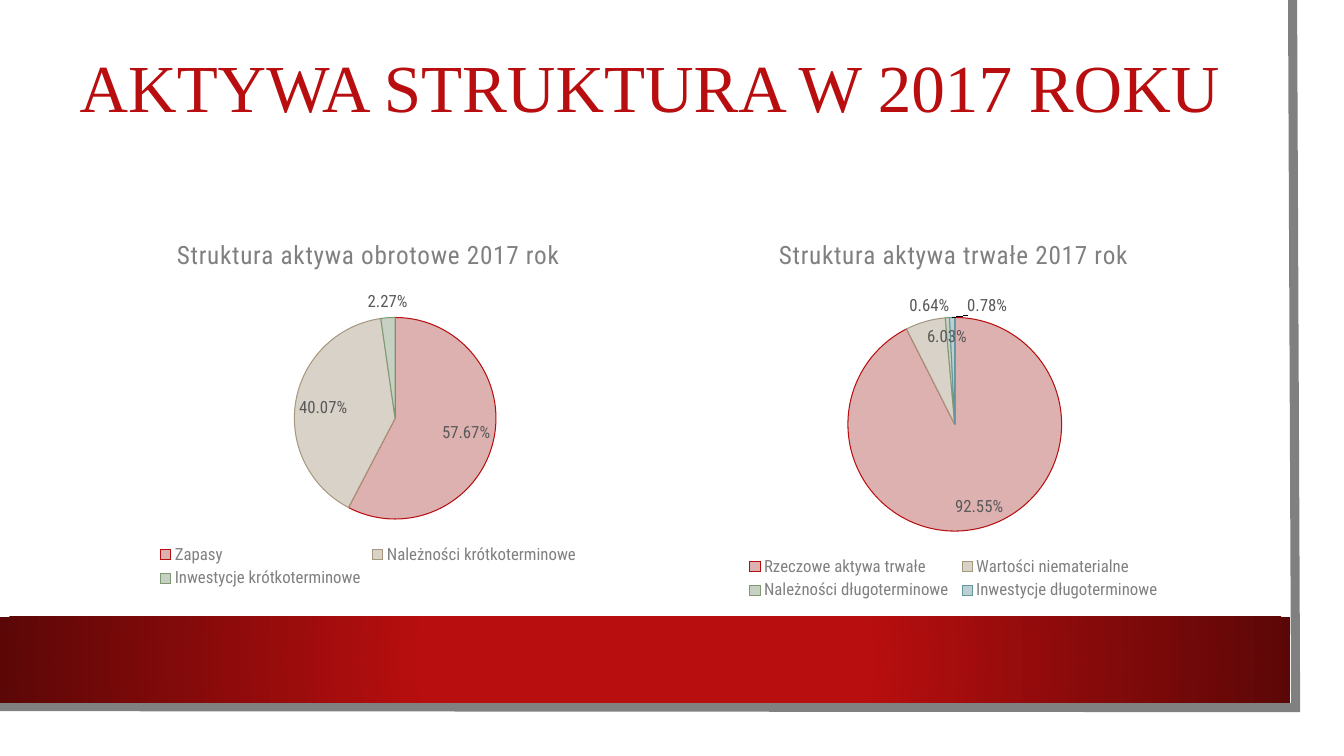
from lxml import etree
from pptx import Presentation
from pptx.chart.data import CategoryChartData
from pptx.dml.color import RGBColor
from pptx.enum import chart as ce, shapes, text
from pptx.oxml import parse_xml
from pptx.oxml.ns import nsdecls, qn
from pptx.util import Inches, Pt

RED = "B80E0F"
DARK_RED = "5C0707"
GREY = "808080"
SERIF = "Times New Roman"
SANS = "Roboto Condensed"
SLICES = [("DEB1B1", RED), ("D8D2C9", "A6987D"), ("C7D1C3", "7F9A71"), ("BECFD3", "64969F")]
INSIDE = ce.XL_LABEL_POSITION.INSIDE_END
OUTSIDE = ce.XL_LABEL_POSITION.OUTSIDE_END


def rgb(value):
    """Turn a hex string into a colour."""
    return RGBColor.from_string(value)


def style_font(font, size, color, name=SANS):
    """Set the size, colour and typeface of a font."""
    font.size, font.name, font.bold = Pt(size), name, False
    font.color.rgb = rgb(color)


def add_text(tf, content, size=18, color=GREY, name=SANS, tracking=0, spacing=None):
    """Write one centred, formatted paragraph into a text frame."""
    p = tf.paragraphs[0]
    p.alignment, p.line_spacing = text.PP_ALIGN.CENTER, spacing
    r = p.add_run()
    r.text = content
    style_font(r.font, size, color, name)
    if tracking:
        r._r.get_or_add_rPr().set("spc", str(round(tracking * 100)))


def add_band(s, left, top, width, height):
    """Add the red band that darkens away from its centre."""
    sp = s.shapes.add_shape(shapes.MSO_SHAPE.RECTANGLE, *map(Inches, (left, top, width, height)))
    sp.shadow.inherit = False
    sp.line.fill.background()
    sp.fill.solid()
    grad = parse_xml(
        f'<a:gradFill {nsdecls("a")} rotWithShape="1"><a:gsLst>'
        f'<a:gs pos="34000"><a:srgbClr val="{RED}"/></a:gs>'
        f'<a:gs pos="100000"><a:srgbClr val="{DARK_RED}"/></a:gs></a:gsLst>'
        '<a:path path="circle"><a:fillToRect l="50000" t="50000" r="50000" b="50000"/></a:path>'
        '</a:gradFill>')
    solid = sp._element.spPr.find(qn("a:solidFill"))
    solid.getparent().replace(solid, grad)


def add_edge(s, points, width):
    """Draw an open grey line with a sharp corner through the points."""
    start, *rest = [(Inches(x), Inches(y)) for x, y in points]
    builder = s.shapes.build_freeform(*start)
    builder.add_line_segments(rest, close=False)
    sp = builder.convert_to_shape()
    sp.shadow.inherit = False
    sp.fill.background()
    sp.line.color.rgb = rgb(GREY)
    sp.line.width = Pt(width)
    ln = sp._element.spPr.find(qn("a:ln"))
    etree.SubElement(ln, qn("a:miter")).set("lim", "800000")


def set_layout(parent, index, settings):
    """Give a chart part a manual layout."""
    old = parent.find(qn("c:layout"))
    if old is not None:
        parent.remove(old)
    layout = etree.Element(qn("c:layout"))
    manual = etree.SubElement(layout, qn("c:manualLayout"))
    for tag, value in settings.items():
        etree.SubElement(manual, qn(f"c:{tag}")).set("val", str(value))
    parent.insert(index, layout)


def place(parent, index, frame, box, inner=False):
    """Pin a chart part at a box given in slide inches."""
    left, top, width, height = frame
    x, y, *size = box
    settings = {"layoutTarget": "inner"} if inner else {}
    settings |= {"xMode": "edge", "yMode": "edge",
                 "x": (x - left) / width, "y": (y - top) / height}
    if size:
        settings |= {"w": size[0] / width, "h": size[1] / height}
    set_layout(parent, index, settings)


def add_labels(series, moved):
    """Label the slices, with position and offset for the moved ones."""
    labels = series.data_labels
    labels.show_value, labels.show_percentage = True, False
    labels.number_format, labels.number_format_is_linked = "0.00%", False
    labels.position = ce.XL_LABEL_POSITION.BEST_FIT
    style_font(labels.font, 12, "595959")
    for i, (position, dx, dy) in moved.items():
        label = series.points[i].data_label
        style_font(label.font, 12, "595959")
        label.position = position
        if dx or dy:
            element = labels._element.xpath(f'c:dLbl[c:idx/@val="{i}"]')[0]
            set_layout(element, 1, {"x": dx, "y": dy})


def add_pie(s, frame, title, shares, title_at, pie_at, legend_at, moved):
    """Add a pie chart with title, labels and legend."""
    data = CategoryChartData(number_format="0.00%")
    data.categories = list(shares)
    data.add_series("Series 1", list(shares.values()))
    ch = s.shapes.add_chart(ce.XL_CHART_TYPE.PIE, *map(Inches, frame), data).chart
    style_font(ch.font, 10, "000000")

    ch.has_title = True
    add_text(ch.chart_title.text_frame, title, tracking=0.5)
    ch.chart_title.include_in_layout = False
    ch.has_legend = True
    ch.legend.position = ce.XL_LEGEND_POSITION.BOTTOM
    ch.legend.include_in_layout = False
    style_font(ch.legend.font, 12, GREY)

    plot = ch.plots[0]
    plot.vary_by_categories = True
    series = plot.series[0]
    for i, (fill, line) in enumerate(SLICES[:len(shares)]):
        fmt = series.points[i].format
        fmt.fill.solid()
        fmt.fill.fore_color.rgb = rgb(fill)
        fmt.line.color.rgb = rgb(line)
        fmt.line.width = Pt(0.75)
    add_labels(series, moved)

    place(ch.chart_title._element, 1, frame, title_at)
    place(ch._chartSpace.chart.plotArea, 0, frame, pie_at, inner=True)
    place(ch.legend._element, 1, frame, legend_at)


def add_title(s, content):
    """Move and format the slide title."""
    sp = s.shapes.title
    sp.left, sp.top, sp.width, sp.height = map(Inches, (0.64, 0.62, 11.61, 0.56))
    tf = sp.text_frame
    tf.word_wrap = True
    tf.auto_size = text.MSO_AUTO_SIZE.NONE
    tf.vertical_anchor = text.MSO_ANCHOR.MIDDLE
    add_text(tf, content, size=48, color=RED, name=SERIF, spacing=0.9)


def main():
    """Build the slide and save it."""
    prs = Presentation()
    prs.slide_width, prs.slide_height = Inches(13.33), Inches(7.5)
    s = prs.slides.add_slide(prs.slide_layouts[5])
    add_edge(s, [(12.82, 0), (12.85, 7.02), (-0.03, 7.01)], 6.5)
    add_band(s, 0, 6.12, 12.8, 0.85)
    add_title(s, "AKTYWA STRUKTURA W 2017 ROKU")
    add_pie(s, (0.75, 2.18, 5.81, 3.7), "Struktura aktywa obrotowe 2017 rok",
            {"Zapasy": 0.5767, "Należności krótkoterminowe": 0.4007,
             "Inwestycje krótkoterminowe": 0.0227},
            (1.71, 2.32), (2.92, 3.15, 2, 2), (1.53, 5.37, 4.25, 0.5), {})
    add_pie(s, (6.56, 2.18, 5.81, 3.83), "Struktura aktywa trwałe 2017 rok",
            {"Rzeczowe aktywa trwałe": 0.9255, "Wartości niematerialne": 0.0603,
             "Należności długoterminowe": 0.0064, "Inwestycje długoterminowe": 0.0078},
            (7.68, 2.32), (8.41, 3.15, 2.12, 2.12), (7.36, 5.49, 4.2, 0.5),
            {1: (INSIDE, 0, 0), 2: (OUTSIDE, -0.03, 0.01), 3: (OUTSIDE, 0.06, 0.01)})
    prs.save("out.pptx")


if __name__ == "__main__":
    main()
